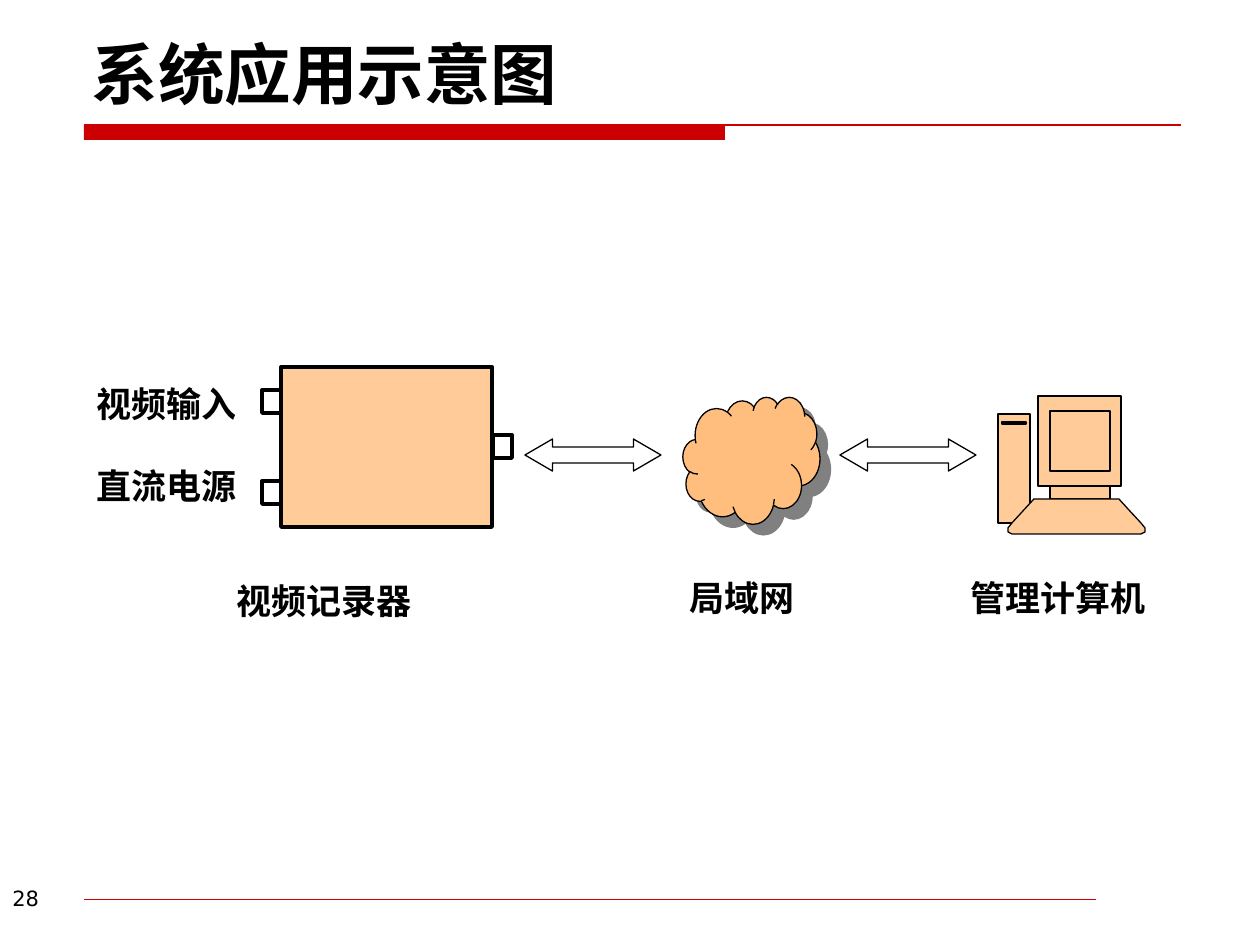
from dataclasses import dataclass

from lxml import etree
from pptx import Presentation
from pptx import util as u
from pptx.dml.color import RGBColor
from pptx.enum import lang, shapes, text
from pptx.oxml.ns import qn

SCALE = u.Inches(1) / 126
KIND = shapes.MSO_SHAPE


@dataclass(frozen=True)
class Theme:
    ink: str = "000000"
    white: str = "FFFFFF"
    accent: str = "CC0000"
    device: str = "FFCC99"
    cloud: str = "FFBE7D"
    shade: str = "808080"
    title_size: int = 38
    label_size: int = 20
    number_size: int = 12
    thin: float = 0.75
    thick: float = 2.25
    hairline: float = 0.25
    title_font: str = "DejaVu Sans"
    label_font: str = "Times New Roman"
    caption_font: str = "Arial"


@dataclass(frozen=True)
class Box:
    left: int
    top: int
    width: int
    height: int

    def inside(self, left, top, width, height):
        return Box(self.left + left, self.top + top, width, height)

    def emu(self):
        return [px(n) for n in (self.left, self.top, self.width, self.height)]


THEME = Theme()


def px(count):
    return u.Emu(round(count * SCALE))


def color(code):
    return RGBColor.from_string(code)


def paint(shape, fill, line, width):
    shape.shadow.inherit = False
    if fill:
        shape.fill.solid()
        shape.fill.fore_color.rgb = color(fill)
    else:
        shape.fill.background()
    if line:
        shape.line.color.rgb = color(line)
        shape.line.width = u.Pt(width)
    else:
        shape.line.fill.background()
    return shape


def add_preset(page, kind, box, fill, line=THEME.ink, width=THEME.thin):
    return paint(page.shapes.add_shape(kind, *box.emu()), fill, line, width)


def add_rule(page, left, right, top, width):
    rule = page.shapes.add_connector(
        shapes.MSO_CONNECTOR.STRAIGHT, px(left), px(top), px(right), px(top))
    rule.line.color.rgb = color(THEME.accent)
    rule.line.width = u.Pt(width)
    etree.SubElement(rule.element.spPr, qn("a:effectLst"))


def write(shape, words, size, font, bold=True, align=text.PP_ALIGN.LEFT):
    frame = shape.text_frame
    frame.text = words
    frame.word_wrap = True
    frame.auto_size = text.MSO_AUTO_SIZE.NONE
    para = frame.paragraphs[0]
    para.alignment = align
    for span in para.runs:
        span.font.size = u.Pt(size)
        span.font.name = font
        span.font.bold = bold
        span.font.color.rgb = color(THEME.ink)
        span.font.language_id = lang.MSO_LANGUAGE_ID.SIMPLIFIED_CHINESE


def add_label(page, box, words, font=THEME.label_font, align=text.PP_ALIGN.JUSTIFY):
    label = page.shapes.add_textbox(*box.emu())
    write(label, words, THEME.label_size, font, align=align)


def add_heading(page, box, words):
    title = page.shapes.title
    title.left, title.top, title.width, title.height = box.emu()
    write(title, words, THEME.title_size, THEME.title_font)
    title.text_frame.vertical_anchor = text.MSO_ANCHOR.BOTTOM
    add_preset(page, KIND.RECTANGLE, box.inside(5, 109, 641, 15), THEME.accent, None)
    add_rule(page, box.left + 5, box.left + box.width, box.top + 109, THEME.thin)


def add_footer(page, box, number):
    label = page.shapes.add_textbox(*box.emu())
    write(label, number, THEME.number_size, THEME.title_font, bold=False)
    add_rule(page, box.left + 84, box.left + 1096, box.top + 20, THEME.hairline)


def add_recorder(page, box):
    add_preset(page, KIND.RECTANGLE, box.inside(197, 0, 211, 160),
               THEME.device, width=THEME.thick)
    for left, top in ((178, 23), (178, 114), (409, 68)):
        add_preset(page, KIND.RECTANGLE, box.inside(left, top, 19, 23),
                   THEME.white, width=THEME.thick)
    add_label(page, box.inside(0, 9, 168, 68), "视频输入")
    add_label(page, box.inside(0, 91, 178, 68), "直流电源")
    add_label(page, box.inside(140, 206, 295, 55), "视频记录器",
              THEME.caption_font, text.PP_ALIGN.LEFT)


def add_network(page, box):
    cloud = add_preset(page, KIND.CLOUD, box.inside(6, 0, 137, 127), THEME.cloud)
    effects = cloud.element.spPr.find(qn("a:effectLst"))
    shadow = etree.SubElement(effects, qn("a:outerShdw"), dist=str(u.Pt(8.5)),
                              dir="2700000", algn="ctr", rotWithShape="0")
    etree.SubElement(shadow, qn("a:srgbClr"), val=THEME.shade)
    add_label(page, box.inside(0, 173, 142, 68), "局域网")


def add_computer(page, box):
    tower, slot = (40, 18, 32, 109), (44, 26, 24, 2)
    neck, monitor, screen = (92, 90, 60, 13), (80, 0, 83, 90), (92, 15, 60, 60)
    for part in (tower, slot, neck, monitor, screen):
        add_preset(page, KIND.RECTANGLE, box.inside(*part), THEME.device)
    outline = [(76, 103), (161, 103), (170, 113), (183, 127), (187, 132),
               (187, 136), (183, 138), (54, 138), (50, 136), (50, 132), (54, 127)]
    points = [(box.left + x, box.top + y) for x, y in outline]
    builder = page.shapes.build_freeform(*points[0], scale=SCALE)
    builder.add_line_segments(points[1:], close=True)
    paint(builder.convert_to_shape(), THEME.device, THEME.ink, THEME.thin)
    add_label(page, box.inside(0, 174, 218, 68), "管理计算机")


def add_link(page, box):
    arrow = add_preset(page, KIND.LEFT_RIGHT_ARROW, box, None)
    arrow.adjustments[0] = 0.5
    arrow.adjustments[1] = 0.86


def main():
    deck = Presentation()
    deck.slide_width, deck.slide_height = px(1260), px(945)
    page = deck.slides.add_slide(deck.slide_layouts[5])
    add_heading(page, Box(79, 16, 1102, 103), "系统应用示意图")
    add_footer(page, Box(0, 879, 273, 66), "28")
    add_recorder(page, Box(84, 367, 428, 261))
    add_network(page, Box(677, 397, 154, 241))
    add_computer(page, Box(958, 396, 218, 242))
    for left in (525, 840):
        add_link(page, Box(left, 439, 136, 32))
    deck.save("out.pptx")


if __name__ == "__main__":
    main()
